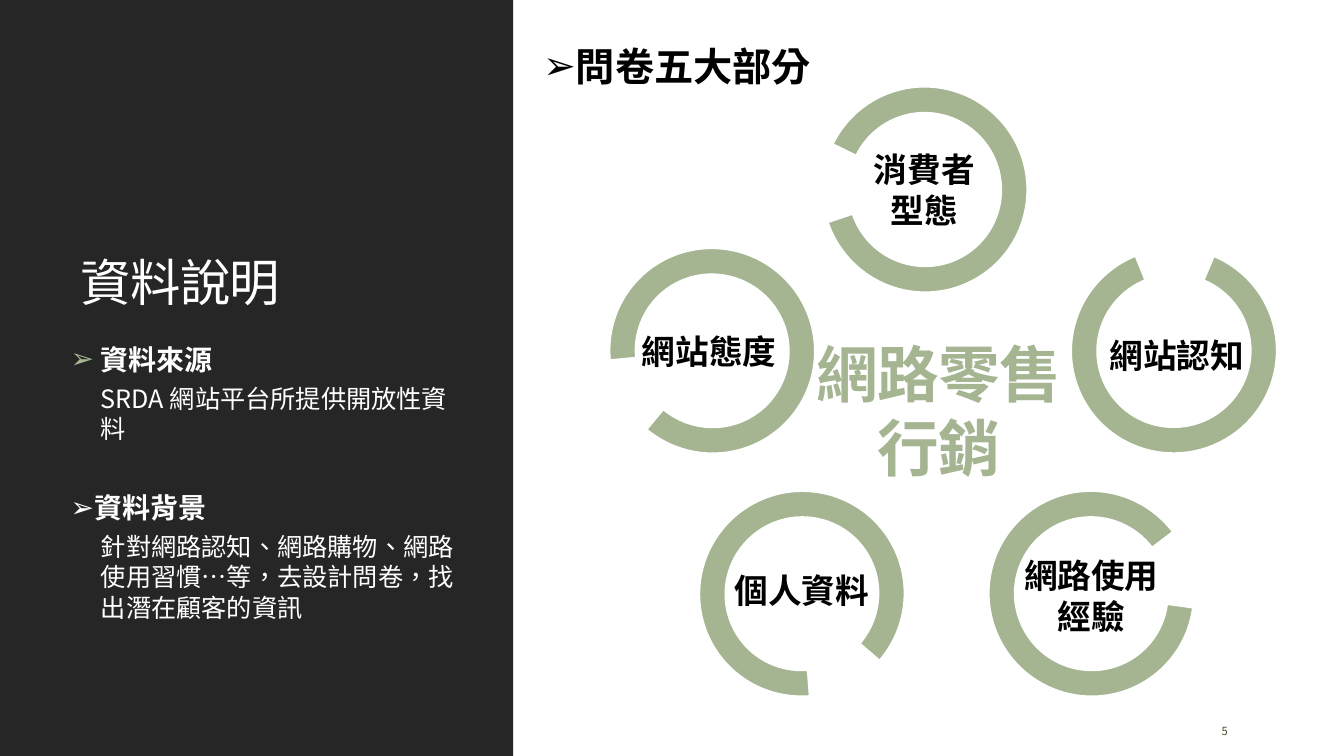
from dataclasses import dataclass

from lxml.etree import SubElement
from pptx import Presentation
from pptx.dml.color import RGBColor as Color
from pptx.enum.lang import MSO_LANGUAGE_ID as Language
from pptx.enum.shapes import MSO_SHAPE as Shape
from pptx.enum.text import MSO_ANCHOR as Anchor, MSO_AUTO_SIZE as AutoSize, PP_ALIGN as Align
from pptx.oxml.ns import qn
from pptx.util import Inches, Pt


@dataclass(frozen=True)
class Theme:
    dark: str = "262626"
    green: str = "A5B592"
    olive: str = "444D26"
    white: str = "FFFFFF"
    black: str = "000000"
    sans: str = "Noto Sans CJK TC"
    display: str = "Noto Sans CJK SC"
    latin: str = "Arial"
    center: int = 44
    title: int = 36
    heading: int = 28
    label: int = 24
    topic: int = 20
    detail: int = 18
    number: int = 8


theme = Theme()
deck = Presentation()
deck.slide_width, deck.slide_height = Inches(13.33), Inches(7.5)
page = deck.slides.add_slide(deck.slide_layouts[1])


def area(left, top, width, height):
    """Turn percentages of the slide into left, top, width and height."""
    across, down = deck.slide_width / 100, deck.slide_height / 100
    return [round(n) for n in (left * across, top * down, width * across, height * down)]


def style(para, size, color, font, bold=False, bullet=None, hang=0, margin=0, tracking=0, spacing=1.0):
    """Format one paragraph; a bullet colour adds an arrow bullet."""
    props = para._p.get_or_add_pPr()
    props.set("marL", str(Inches(margin)))
    props.set("indent", str(-Inches(hang)))
    para.line_spacing = spacing
    if bullet:
        SubElement(SubElement(props, qn("a:buClr")), qn("a:srgbClr")).set("val", bullet)
        SubElement(props, qn("a:buFont")).set("typeface", theme.latin)
        SubElement(props, qn("a:buChar")).set("char", "➢")
    else:
        SubElement(props, qn("a:buNone"))
    for span in para.runs:
        span.font.size, span.font.bold, span.font.name = Pt(size), bold, font
        span.font.color.rgb = Color.from_string(color)
        span.font.language_id = Language.TRADITIONAL_CHINESE
        east_asian = theme.sans if font == theme.latin else font
        SubElement(span._r.rPr, qn("a:ea")).set("typeface", east_asian)
        span._r.rPr.set("spc", str(tracking))


# Dark panel behind the title and body
panel = page.shapes.add_shape(Shape.RECTANGLE, *area(0, 0, 38.18, 100))
panel.shadow.inherit = False
panel.fill.solid()
panel.fill.fore_color.rgb = Color.from_string(theme.dark)
panel.line.fill.background()
page.shapes._spTree.insert(2, panel._element)

title, body = page.placeholders
title.left, title.top, title.width, title.height = area(5.25, 11.47, 28.88, 30.53)
title.text_frame.text = "資料說明"
title.text_frame.vertical_anchor = Anchor.BOTTOM
title.text_frame.paragraphs[0].alignment = Align.LEFT
style(title.text_frame.paragraphs[0], theme.title, theme.white, theme.display, tracking=-50, spacing=0.9)

# Topics with their explanations
body.left, body.top, body.width, body.height = area(5.25, 44.6, 28.88, 44.47)
frame = body.text_frame
frame.auto_size = AutoSize.NONE
frame.margin_left = frame.margin_right = 0
topics = [
    ("資料來源", "SRDA 網站平台所提供開放性資料", theme.green, 0.3, 0),
    ("資料背景", "針對網路認知、網路購物、網路使用習慣…等，去設計問卷，找出潛在顧客的資訊", theme.white, 0.22, 30),
]
frame.text = "\n".join(line for topic in topics for line in topic[:2])
for index, (_, _, bullet, hang, before) in enumerate(topics):
    topic, detail = frame.paragraphs[2 * index:2 * index + 2]
    topic.space_before, topic.space_after = Pt(before), Pt(3)
    detail.space_before, detail.space_after = Pt(2), Pt(4)
    style(topic, theme.topic, theme.white, theme.sans, True, bullet, hang, hang)
    style(detail, theme.detail, theme.white, theme.sans, margin=0.3)

# Rings: left, top and rotation of each open circle
rings = [
    (61.2, 11.47, 341.3),
    (79.73, 32.8, 67.9),
    (73.58, 64.93, 142.8),
    (52.05, 64.93, 220.7),
    (45.38, 32.8, 309.8),
]
for left, top, turn in rings:
    ring = page.shapes.add_shape(Shape.BLOCK_ARC, *area(left, top, 15.23, 27.2))
    ring.adjustments[0], ring.adjustments[1], ring.adjustments[2] = 135, 108, 0.127
    ring.rotation = turn
    ring.shadow.inherit = False
    ring.fill.solid()
    ring.fill.fore_color.rgb = Color.from_string(theme.green)
    ring.line.color.rgb = Color.from_string(theme.white)
    ring.line.width = Pt(1.25)

# Free text: wording, place, alignment and look
label = dict(size=theme.label, color=theme.black, font=theme.latin, bold=True)
heading = dict(label, size=theme.heading, bullet=theme.black, hang=0.31, margin=0.31)
center = dict(size=theme.center, color=theme.green, font=theme.display, bold=True, tracking=-50)
number = dict(size=theme.number, color=theme.olive, font=theme.sans)
texts = [
    ("問卷五大部分", (39.68, 4.93, 22.5, 7.6), Align.LEFT, heading),
    ("消費者型態", (63.15, 19.07, 11.25, 12.13), Align.CENTER, label),
    ("網站認知", (81.83, 43.6, 13.13, 6.67), Align.LEFT, label),
    ("網路使用經驗", (74.63, 72.8, 13.13, 12.13), Align.CENTER, label),
    ("個人資料", (53.93, 74.67, 13.13, 6.67), Align.LEFT, label),
    ("網站態度", (47.03, 43.07, 13.13, 6.67), Align.LEFT, label),
    ("網路零售行銷", (59.85, 43.73, 19.95, 21.07), Align.CENTER, center),
    ("5", (90.15, 94, 6.38, 5.33), Align.LEFT, number),
]
for wording, place, align, look in texts:
    box = page.shapes.add_textbox(*area(*place))
    box.text_frame.word_wrap = True
    box.text_frame.text = wording
    box.text_frame.vertical_anchor = Anchor.MIDDLE if look is number else Anchor.TOP
    box.text_frame.paragraphs[0].alignment = align
    style(box.text_frame.paragraphs[0], **look)

deck.save("out.pptx")
